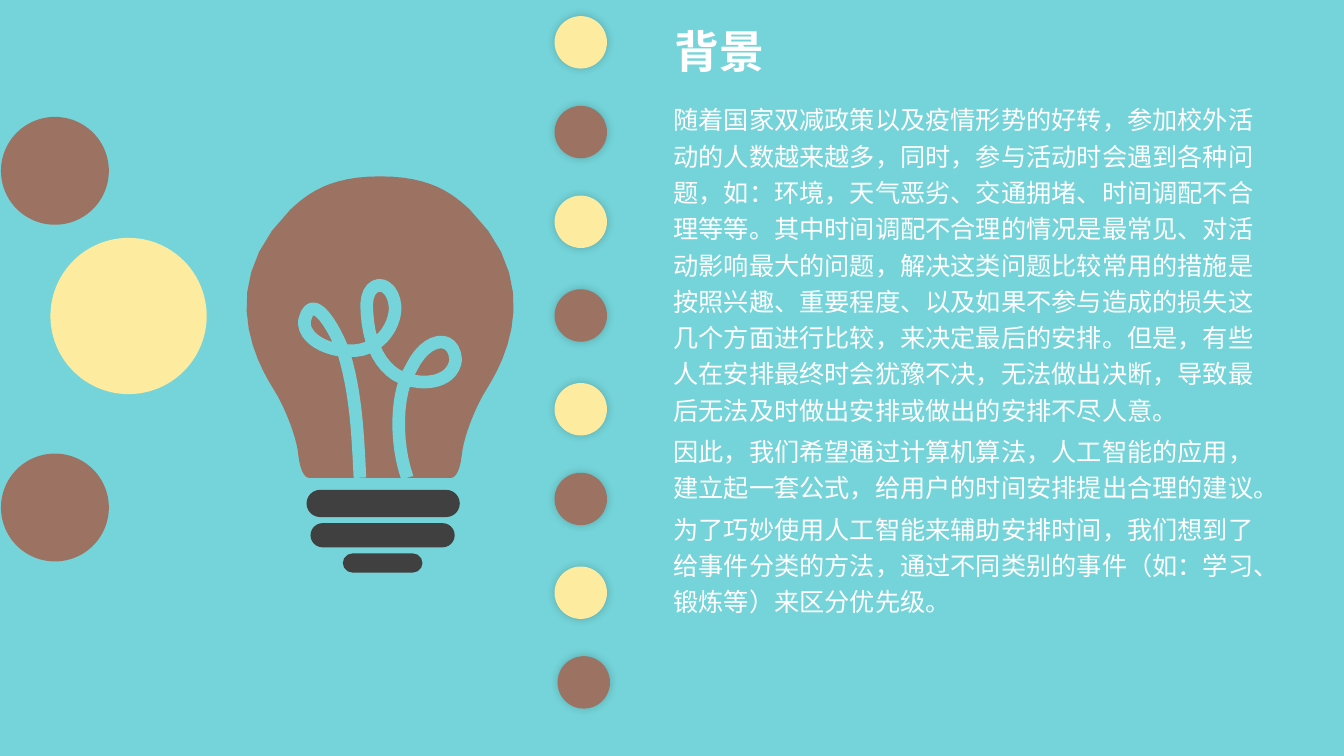
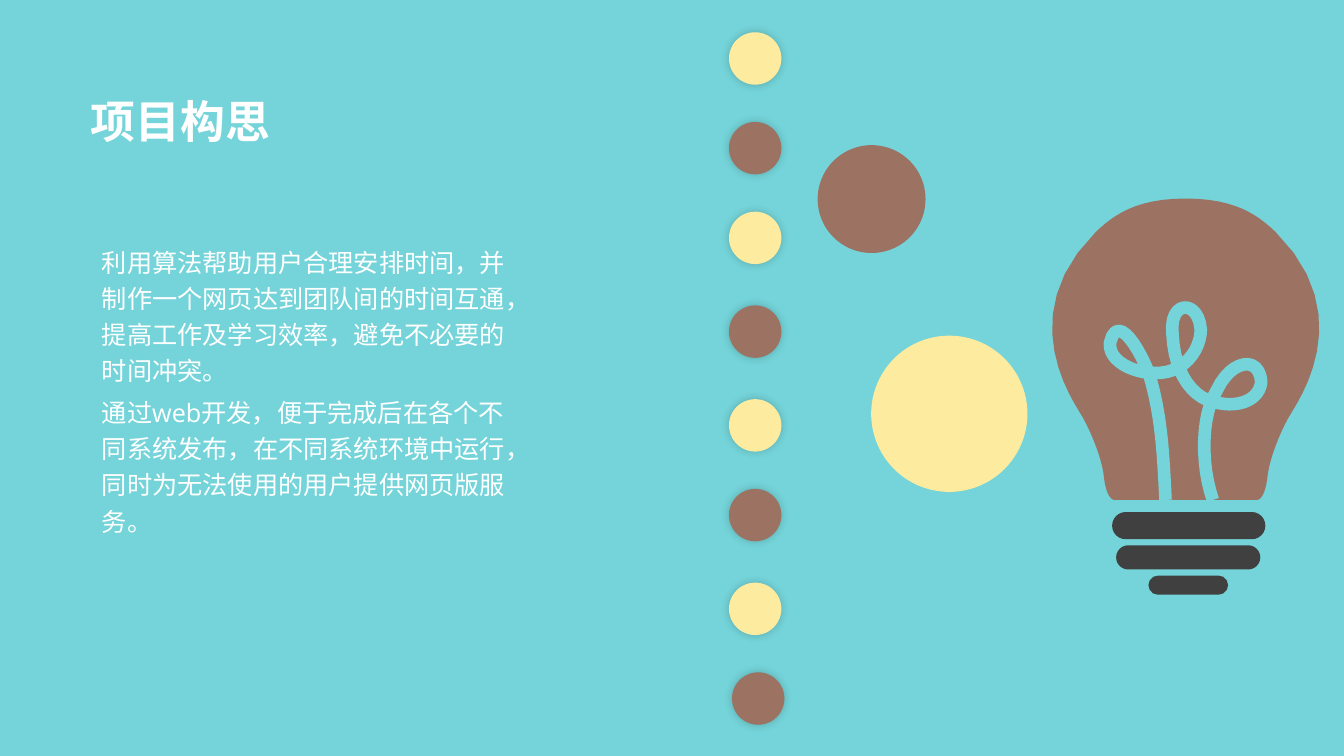
from dataclasses import dataclass

from lxml import etree
from pptx import Presentation
from pptx.dml.color import RGBColor
from pptx.enum.shapes import MSO_SHAPE
from pptx.enum.text import MSO_ANCHOR, MSO_AUTO_SIZE, PP_ALIGN
from pptx.oxml.ns import qn
from pptx.util import Inches, Pt

ELLIPSE = MSO_SHAPE.OVAL
ROUNDED = MSO_SHAPE.ROUNDED_RECTANGLE
MIDDLE, TOP = MSO_ANCHOR.MIDDLE, MSO_ANCHOR.TOP
LEFT = PP_ALIGN.LEFT
GROW = MSO_AUTO_SIZE.SHAPE_TO_FIT_TEXT
TITLE_ONLY = 5


@dataclass(frozen=True)
class Theme:
    background: RGBColor = RGBColor(0x74, 0xD4, 0xD9)
    brown: RGBColor = RGBColor(0x9C, 0x72, 0x63)
    yellow: RGBColor = RGBColor(0xFD, 0xEC, 0xA0)
    dark: RGBColor = RGBColor(0x40, 0x40, 0x40)
    white: RGBColor = RGBColor(0xFF, 0xFF, 0xFF)
    latin_font: str = "Open Sans"
    asian_font: str = "Noto Sans CJK SC"
    title_size: Pt = Pt(32)
    body_size: Pt = Pt(18)
    filament_width: Pt = Pt(9)


THEME = Theme()


@dataclass(frozen=True)
class Box:
    left: float
    top: float
    width: float
    height: float

    def lengths(self) -> list[Inches]:
        return [Inches(n) for n in (self.left, self.top, self.width, self.height)]


@dataclass(frozen=True)
class Circle:
    left: float
    top: float
    size: float
    color: RGBColor

    def box(self) -> Box:
        return Box(self.left, self.top, self.size, self.size)


@dataclass(frozen=True)
class Topic:
    title: str
    title_box: Box
    paragraphs: tuple[str, ...]
    body_box: Box
    dots_at: tuple[float, float]
    bulb_shift: tuple[float, float]
    circles: tuple[Circle, ...]


# An outline is a start point, then three points per Bezier curve.
BULB_AXIS = 3.77
RIGHT_GLASS = (
    (BULB_AXIS, 1.75), (4.27, 1.75, 4.49, 1.92, 4.66, 2.08), (5.51, 2.92, 4.86, 3.79, 4.81, 3.89),
    (4.75, 3.98, 4.6, 4.3, 4.58, 4.52), (4.55, 4.76, 4.47, 4.74, 4.47, 4.74),
)
FILAMENT = (
    (3.57, 4.74), (3.55, 4.3, 3.53, 3.9, 3.41, 3.5), (3.34, 3.3, 3.1, 2.85, 3.02, 3.18),
    (3, 3.36, 3.25, 3.48, 3.45, 3.48), (3.75, 3.5, 3.92, 3.25, 3.92, 3.05),
    (3.9, 2.75, 3.6, 2.75, 3.64, 3.1), (3.66, 3.5, 3.85, 3.75, 4.1, 3.78),
    (4.3, 3.82, 4.5, 3.75, 4.52, 3.57), (4.5, 3.3, 4.22, 3.35, 4.08, 3.65),
    (3.92, 3.9, 3.92, 4.4, 4.04, 4.74),
)
SOCKET_BARS = (Box(3.04, 4.86, 1.52, 0.27), Box(3.08, 5.19, 1.43, 0.24), Box(3.4, 5.49, 0.79, 0.19))
CURVE_STEPS = 12

DOT_SIZE = 0.52
DOT_DROPS = (0, 0.89, 1.78, 2.71, 3.64, 4.53, 5.46, 6.35)
LAST_DOT_SHIFT = 0.03
SMALL, LARGE = 1.07, 1.55

TOPICS = (
    Topic(
        "背景", Box(6.59, 0.15, 4.41, 0.65),
        ("随着国家双减政策以及疫情形势的好转，参加校外活动的人数越来越多，同时，参与活动时会遇到各种问题，"
         "如：环境，天气恶劣、交通拥堵、时间调配不合理等等。其中时间调配不合理的情况是最常见、对活动影响最大的问题，"
         "解决这类问题比较常用的措施是按照兴趣、重要程度、以及如果不参与造成的损失这几个方面进行比较，"
         "来决定最后的安排。但是，有些人在安排最终时会犹豫不决，无法做出决断，"
         "导致最后无法及时做出安排或做出的安排不尽人意。",
         "因此，我们希望通过计算机算法，人工智能的应用，建立起一套公式，给用户的时间安排提出合理的建议。",
         "为了巧妙使用人工智能来辅助安排时间，我们想到了给事件分类的方法，"
         "通过不同类别的事件（如：学习、锻炼等）来区分优先级。"),
        Box(6.56, 0.92, 6.05, 5.3), dots_at=(5.5, 0.16), bulb_shift=(0, 0),
        circles=(Circle(0.01, 1.16, SMALL, THEME.brown), Circle(0.5, 2.36, LARGE, THEME.yellow),
                 Circle(0.01, 4.5, SMALL, THEME.brown)),
    ),
    Topic(
        "项目构思", Box(0.8, 0.84, 4.41, 0.65),
        ("利用算法帮助用户合理安排时间，并制作一个网页达到团队间的时间互通，"
         "提高工作及学习效率，避免不必要的时间冲突。",
         "通过web开发，便于完成后在各个不同系统发布，在不同系统环境中运行，"
         "同时为无法使用的用户提供网页版服务。"),
        Box(0.89, 2.33, 4.26, 3.86), dots_at=(7.23, 0.32), bulb_shift=(7.99, 0.22),
        circles=(Circle(8.11, 1.44, SMALL, THEME.brown), Circle(8.64, 3.33, LARGE, THEME.yellow)),
    ),
)


def paint(shape, color: RGBColor) -> None:
    shape.shadow.inherit = False
    shape.fill.solid()
    shape.fill.fore_color.rgb = color
    shape.line.fill.background()


def add_soft_shadow(shape) -> None:
    effects = shape._element.spPr.find(qn("a:effectLst"))
    shadow = etree.SubElement(effects, qn("a:outerShdw"), blurRad=str(Pt(6)), dist="0",
                              dir="18900000", algn="bl", rotWithShape="0")
    color = etree.SubElement(shadow, qn("a:srgbClr"), val="000000")
    etree.SubElement(color, qn("a:alpha"), val="20000")


def add_circle(page, circle: Circle):
    shape = page.shapes.add_shape(ELLIPSE, *circle.box().lengths())
    paint(shape, circle.color)
    return shape


def add_dot_column(page, left: float, top: float) -> None:
    for index, drop in enumerate(DOT_DROPS):
        color = THEME.brown if index % 2 else THEME.yellow
        shift = LAST_DOT_SHIFT if drop == DOT_DROPS[-1] else 0
        add_soft_shadow(add_circle(page, Circle(left + shift, top + drop, DOT_SIZE, color)))


def flatten(outline: tuple) -> list[tuple[float, float]]:
    """Turn a start point and its Bezier curves into a list of points."""
    points = [outline[0]]
    for x1, y1, x2, y2, x3, y3 in outline[1:]:
        x0, y0 = points[-1]
        for step in range(1, CURVE_STEPS + 1):
            t = step / CURVE_STEPS
            a, b, c, d = (1 - t) ** 3, 3 * t * (1 - t) ** 2, 3 * t * t * (1 - t), t ** 3
            points.append((a * x0 + b * x1 + c * x2 + d * x3, a * y0 + b * y1 + c * y2 + d * y3))
    return points


def add_outline(shapes, points: list[tuple[float, float]], dx: float, dy: float, close: bool):
    corners = [(Inches(x + dx), Inches(y + dy)) for x, y in points]
    builder = shapes.build_freeform(*corners[0])
    builder.add_line_segments(corners[1:], close=close)
    return builder.convert_to_shape()


def add_bulb(page, dx: float, dy: float) -> None:
    shapes = page.shapes.add_group_shape().shapes
    right = flatten(RIGHT_GLASS)
    left = [(2 * BULB_AXIS - x, y) for x, y in reversed(right)]
    paint(add_outline(shapes, right + left, dx, dy, close=True), THEME.brown)

    filament = add_outline(shapes, flatten(FILAMENT), dx, dy, close=False)
    filament.shadow.inherit = False
    filament.fill.background()
    filament.line.color.rgb = THEME.background
    filament.line.width = THEME.filament_width

    for bar in SOCKET_BARS:
        box = Box(bar.left + dx, bar.top + dy, bar.width, bar.height)
        shape = shapes.add_shape(ROUNDED, *box.lengths())
        shape.adjustments[0] = 0.5
        paint(shape, THEME.dark)


def format_paragraph(para, size: Pt, line_spacing: float, bold: bool = False) -> None:
    para.alignment = LEFT
    para.line_spacing = line_spacing
    for span in para.runs:
        span.font.size = size
        span.font.bold = bold
        span.font.color.rgb = THEME.white
        span.font.name = THEME.latin_font
        etree.SubElement(span.font._element, qn("a:ea"), typeface=THEME.asian_font)


def set_frame(frame, anchor, side: float, edge: float) -> None:
    frame.word_wrap = True
    frame.auto_size = GROW
    frame.vertical_anchor = anchor
    frame.margin_left = frame.margin_right = Inches(side)
    frame.margin_top = frame.margin_bottom = Inches(edge)


def set_title(page, text: str, box: Box) -> None:
    title = page.shapes.title
    title.left, title.top, title.width, title.height = box.lengths()
    set_frame(title.text_frame, MIDDLE, 0.1, 0.05)
    title.text_frame.text = text
    format_paragraph(title.text_frame.paragraphs[0], THEME.title_size, 1.1, bold=True)


def add_body(page, paragraphs: tuple[str, ...], box: Box) -> None:
    frame = page.shapes.add_textbox(*box.lengths()).text_frame
    set_frame(frame, TOP, 0.12, 0.06)
    frame.text = "\n".join(paragraphs)
    for index, para in enumerate(frame.paragraphs):
        format_paragraph(para, THEME.body_size, 1.2)
        if index:
            para.space_before = Pt(3.6)


def add_topic(deck, topic: Topic) -> None:
    page = deck.slides.add_slide(deck.slide_layouts[TITLE_ONLY])
    add_bulb(page, *topic.bulb_shift)
    for circle in topic.circles:
        add_circle(page, circle)
    add_dot_column(page, *topic.dots_at)
    set_title(page, topic.title, topic.title_box)
    add_body(page, topic.paragraphs, topic.body_box)


def main() -> None:
    deck = Presentation()
    deck.slide_width, deck.slide_height = Inches(13.33), Inches(7.5)
    backdrop = deck.slide_master.background.fill
    backdrop.solid()
    backdrop.fore_color.rgb = THEME.background
    for topic in TOPICS:
        add_topic(deck, topic)
    deck.save("out.pptx")


if __name__ == "__main__":
    main()
